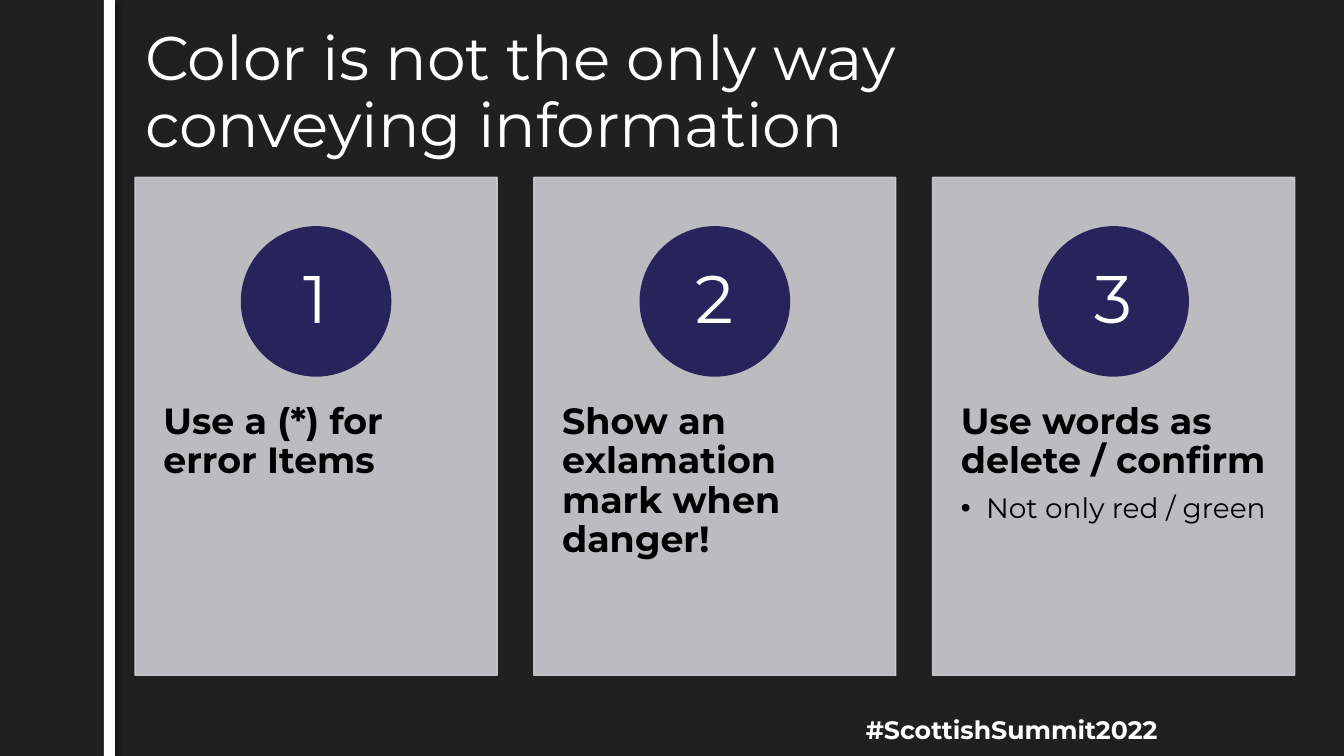
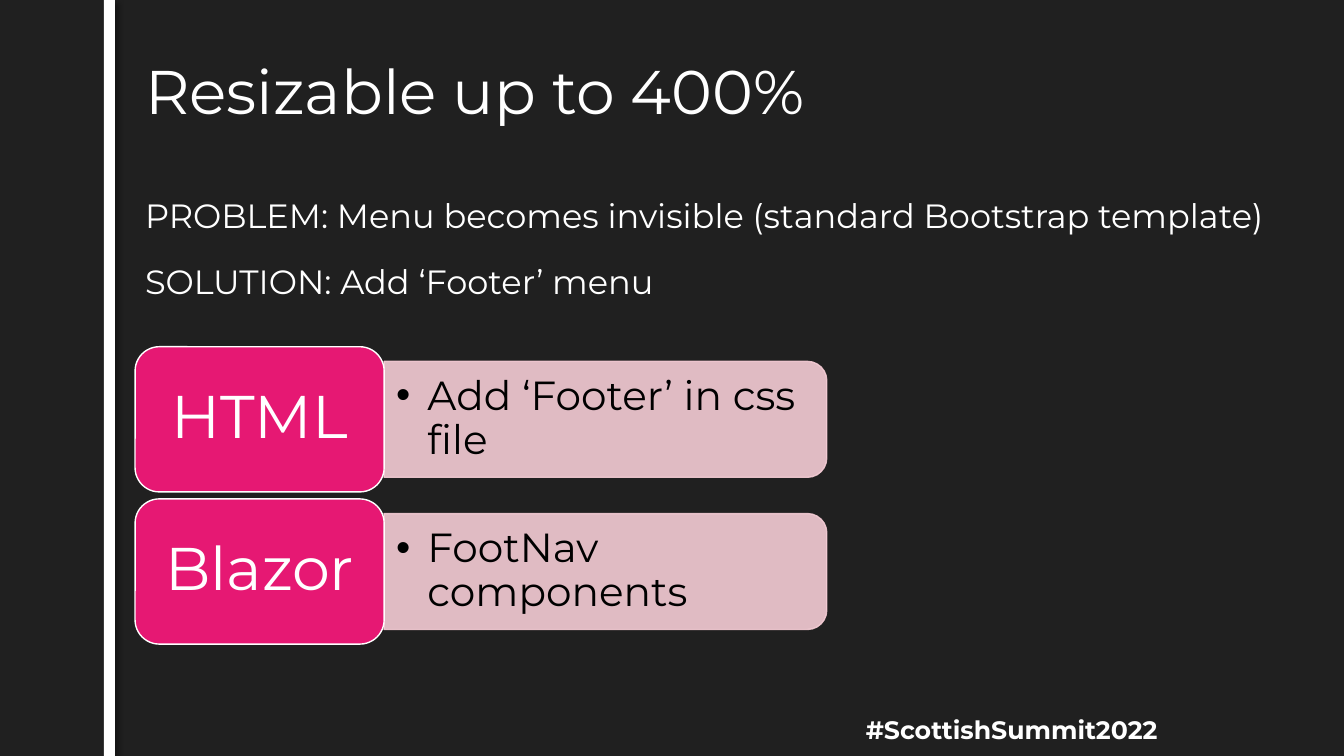
import dataclasses

import pptx
import pptx.dml.color
import pptx.enum.shapes
import pptx.enum.text
import pptx.oxml
import pptx.oxml.ns
import pptx.util
from pptx.util import Inches

SHAPE = pptx.enum.shapes.MSO_SHAPE
ALIGN = pptx.enum.text.PP_ALIGN
ANCHOR = pptx.enum.text.MSO_ANCHOR


@dataclasses.dataclass(frozen=True)
class Theme:
    font: str = "Montserrat"
    background: str = "202020"
    light: str = "FFFFFF"
    dark: str = "000000"
    card: str = "CDCDD2"
    badge: str = "29235C"
    tile: str = "E61873"
    pill: str = "F5CCD5"
    title_size: int = 44
    number_size: int = 48
    tile_size: int = 43
    pill_size: int = 29
    heading_size: int = 26
    body_size: int = 24
    detail_size: int = 20
    footer_size: int = 18


THEME = Theme()
LEFT, WIDTH = 1.34, 11.5
CONTENT_TOP = 1.76


# Shared drawing helpers
def rgb(color):
    return pptx.dml.color.RGBColor.from_string(color)


def add_xml(parent, name, attributes):
    element = pptx.oxml.ns.qn(name)
    child = parent.makeelement(element, attributes)
    parent.append(child)
    return child


def add_shape(slide, kind, box, fill, line=None, opacity=100):
    shape = slide.shapes.add_shape(kind, *map(Inches, box))
    shape.shadow.inherit = False
    shape.fill.solid()
    shape.fill.fore_color.rgb = rgb(fill)
    if line:
        shape.line.color.rgb = rgb(line)
        shape.line.width = pptx.util.Pt(1)
    else:
        shape.line.fill.background()
    if opacity < 100:
        for color in shape._element.spPr.iter(pptx.oxml.ns.qn("a:srgbClr")):
            add_xml(color, "a:alpha", {"val": str(opacity * 1000)})
    return shape


def add_text_box(slide, box):
    return slide.shapes.add_textbox(*map(Inches, box))


def set_frame(shape, anchor=ANCHOR.TOP, insets=(0.1, 0.05, 0.1, 0.05)):
    frame = shape.text_frame
    frame.word_wrap = True
    frame.vertical_anchor = anchor
    (frame.margin_left, frame.margin_top,
     frame.margin_right, frame.margin_bottom) = map(Inches, insets)
    return frame


def add_paragraph(frame, lines, size, color, bold=False, align=ALIGN.LEFT,
                  spacing=0.9, before=0, indent=0):
    first = frame.paragraphs[0]
    paragraph = frame.add_paragraph() if first.runs else first
    paragraph.alignment = align
    paragraph.line_spacing = spacing
    paragraph.space_before = pptx.util.Pt(before)
    if indent:
        properties = paragraph._p.get_or_add_pPr()
        properties.set("marL", str(Inches(indent)))
        properties.set("indent", str(-Inches(indent)))
        add_xml(properties, "a:buFont", {"typeface": "Arial"})
        add_xml(properties, "a:buChar", {"char": "•"})
    for index, text in enumerate(lines):
        if index:
            paragraph.add_line_break()
        run = paragraph.add_run()
        run.text = text
        run.font.name = THEME.font
        run.font.size = pptx.util.Pt(size)
        run.font.bold = bold
        run.font.color.rgb = rgb(color)


# Frame that every slide shares: side bar, footer, title
def add_side_bar(slide, box):
    bar = add_shape(slide, SHAPE.RECTANGLE, box, THEME.light)
    effects = bar._element.spPr.find(pptx.oxml.ns.qn("a:effectLst"))
    shadow = add_xml(effects, "a:outerShdw", {
        "blurRad": str(pptx.util.Pt(4)), "dist": str(pptx.util.Pt(3)),
        "dir": str(45 * 60000), "algn": "tl", "rotWithShape": "0"})
    color = add_xml(shadow, "a:srgbClr", {"val": THEME.dark})
    add_xml(color, "a:alpha", {"val": "40000"})


def add_framed_slide(presentation, title_lines):
    slide = presentation.slides.add_slide(presentation.slide_layouts[6])
    add_side_bar(slide, (1.03, 0, 0.11, 7.5))
    footer = set_frame(add_text_box(slide, (8.22, 7.04, 3.36, 0.4)))
    add_paragraph(footer, ["#ScottishSummit2022"], THEME.footer_size,
                  THEME.light, bold=True, align=ALIGN.RIGHT, spacing=1)
    title = set_frame(add_text_box(slide, (LEFT, 0.21, WIDTH, 1.45)),
                      ANCHOR.MIDDLE)
    add_paragraph(title, title_lines, THEME.title_size, THEME.light)
    return slide


# Numbered card: heading and details below a round badge
def add_card(slide, box, number, heading, details):
    left, top, width, height = box
    card = add_shape(slide, SHAPE.RECTANGLE, box, THEME.card, THEME.card, 90)
    frame = set_frame(card, insets=(0.28, 2.24, 0.28, 0.36))
    add_paragraph(frame, [heading], THEME.heading_size, THEME.dark, bold=True)
    for detail in details:
        add_paragraph(frame, [detail], THEME.detail_size, THEME.dark,
                      before=9, indent=0.25)

    diameter = 1.48
    badge_box = (left + (width - diameter) / 2, top + 0.49, diameter, diameter)
    badge = add_shape(slide, SHAPE.OVAL, badge_box, THEME.badge, THEME.badge)
    frame = set_frame(badge, ANCHOR.MIDDLE, (0.12, 0.01, 0.12, 0.01))
    add_paragraph(frame, [str(number)], THEME.number_size, THEME.light,
                  align=ALIGN.CENTER)


def add_card_row(slide, box, cards, gap=0.365):
    left, top, width, height = box
    card_width = (width - gap * (len(cards) - 1)) / len(cards)
    for index, (heading, details) in enumerate(cards):
        card_left = left + index * (card_width + gap)
        add_card(slide, (card_left, top, card_width, height),
                 index + 1, heading, details)


# Labelled row: a tile with a rounded pill to its right
def add_labelled_row(slide, box, label, detail):
    left, top, width, height = box
    tile_width, pill_height = 2.47, 1.15
    pill_left, pill_width = left + tile_width, width - tile_width
    middle = top + height / 2

    # The pill stands upright and is turned about its centre
    upright = (pill_left + (pill_width - pill_height) / 2,
               middle - pill_width / 2, pill_height, pill_width)
    pill = add_shape(slide, SHAPE.ROUND_2_SAME_RECTANGLE, upright,
                     THEME.pill, THEME.pill, 90)
    pill.rotation = 90
    text_box = add_text_box(slide, (pill_left, middle - 0.52,
                                    pill_width - 0.06, 1.04))
    frame = set_frame(text_box, ANCHOR.MIDDLE, (0.12, 0.06, 0.12, 0.06))
    add_paragraph(frame, [detail], THEME.pill_size, THEME.dark, indent=0.31)

    tile = add_shape(slide, SHAPE.ROUNDED_RECTANGLE,
                     (left, top, tile_width, height), THEME.tile, THEME.light)
    frame = set_frame(tile, ANCHOR.MIDDLE, (0.18, 0.09, 0.18, 0.09))
    add_paragraph(frame, [label], THEME.tile_size, THEME.light,
                  align=ALIGN.CENTER)


def add_labelled_rows(slide, box, rows, gap=0.07):
    left, top, width, height = box
    row_height = (height - gap * (len(rows) - 1)) / len(rows)
    for index, (label, detail) in enumerate(rows):
        row_top = top + index * (row_height + gap)
        add_labelled_row(slide, (left, row_top, width, row_height),
                         label, detail)


def add_statements(slide, box, statements):
    frame = set_frame(add_text_box(slide, box))
    for index, statement in enumerate(statements):
        add_paragraph(frame, [statement], THEME.body_size, THEME.light,
                      spacing=1.3, before=10 if index else 0)


# Slides
def build_color_slide(presentation):
    slide = add_framed_slide(presentation, ["Color is not the only way",
                                            "conveying information"])
    add_card_row(slide, (LEFT, CONTENT_TOP, WIDTH, 4.94), [
        ("Use a (*) for error Items", []),
        ("Show an exlamation mark when danger!", []),
        ("Use words as delete / confirm", ["Not only red / green"]),
    ])


def build_resize_slide(presentation):
    slide = add_framed_slide(presentation, ["Resizable up to 400%"])
    add_statements(slide, (LEFT, CONTENT_TOP, WIDTH, 1.69), [
        "PROBLEM: Menu becomes invisible (standard Bootstrap template)",
        "SOLUTION: Add ‘Footer’ menu",
    ])
    add_labelled_rows(slide, (LEFT, 3.44, 6.86, 2.95), [
        ("HTML", "Add ‘Footer’ in css file"),
        ("Blazor", "FootNav components"),
    ])


def main():
    presentation = pptx.Presentation()
    presentation.slide_width = Inches(13.33)
    presentation.slide_height = Inches(7.5)
    background = presentation.slide_master.background.fill
    background.solid()
    background.fore_color.rgb = rgb(THEME.background)
    build_color_slide(presentation)
    build_resize_slide(presentation)
    presentation.save("out.pptx")


if __name__ == "__main__":
    main()
